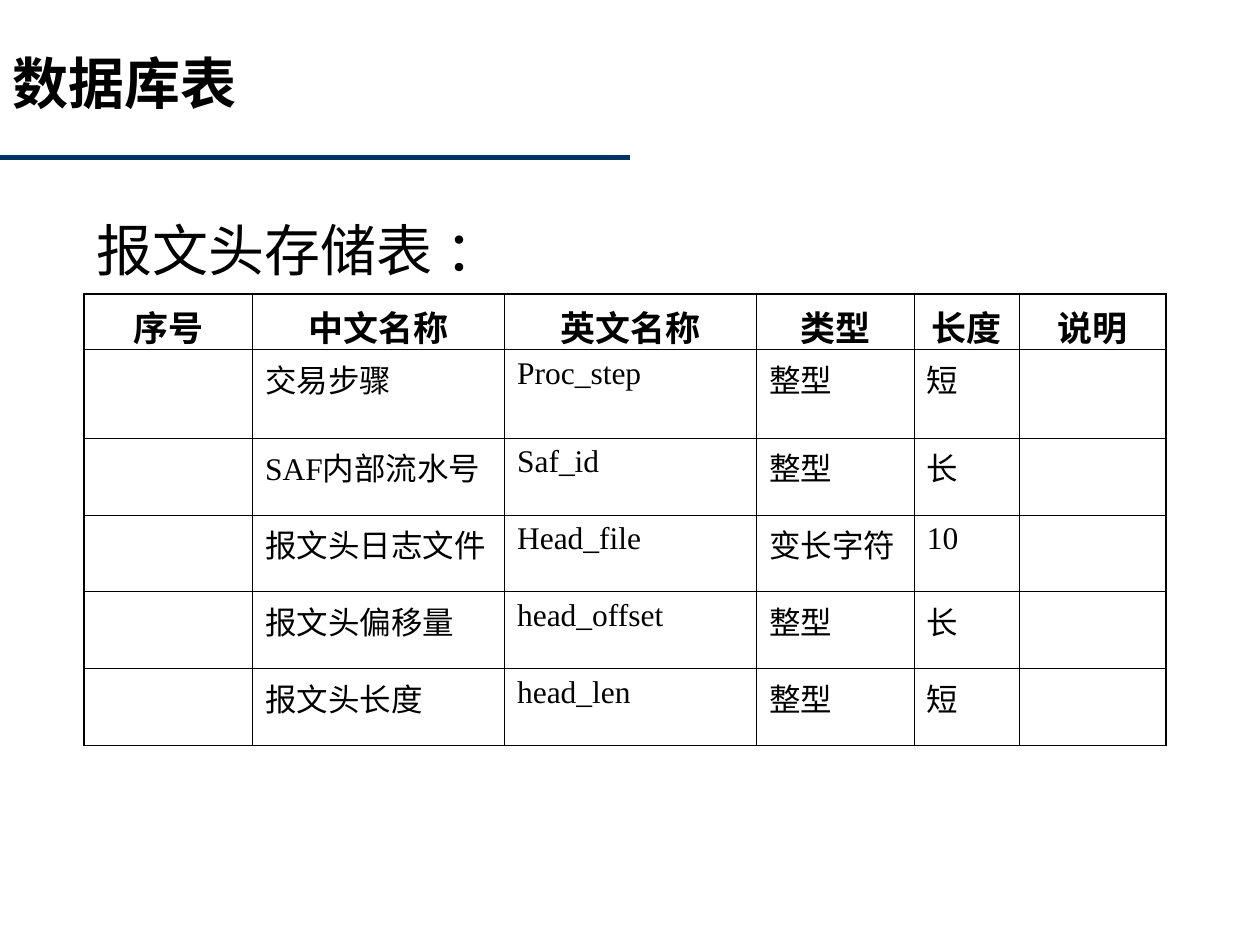
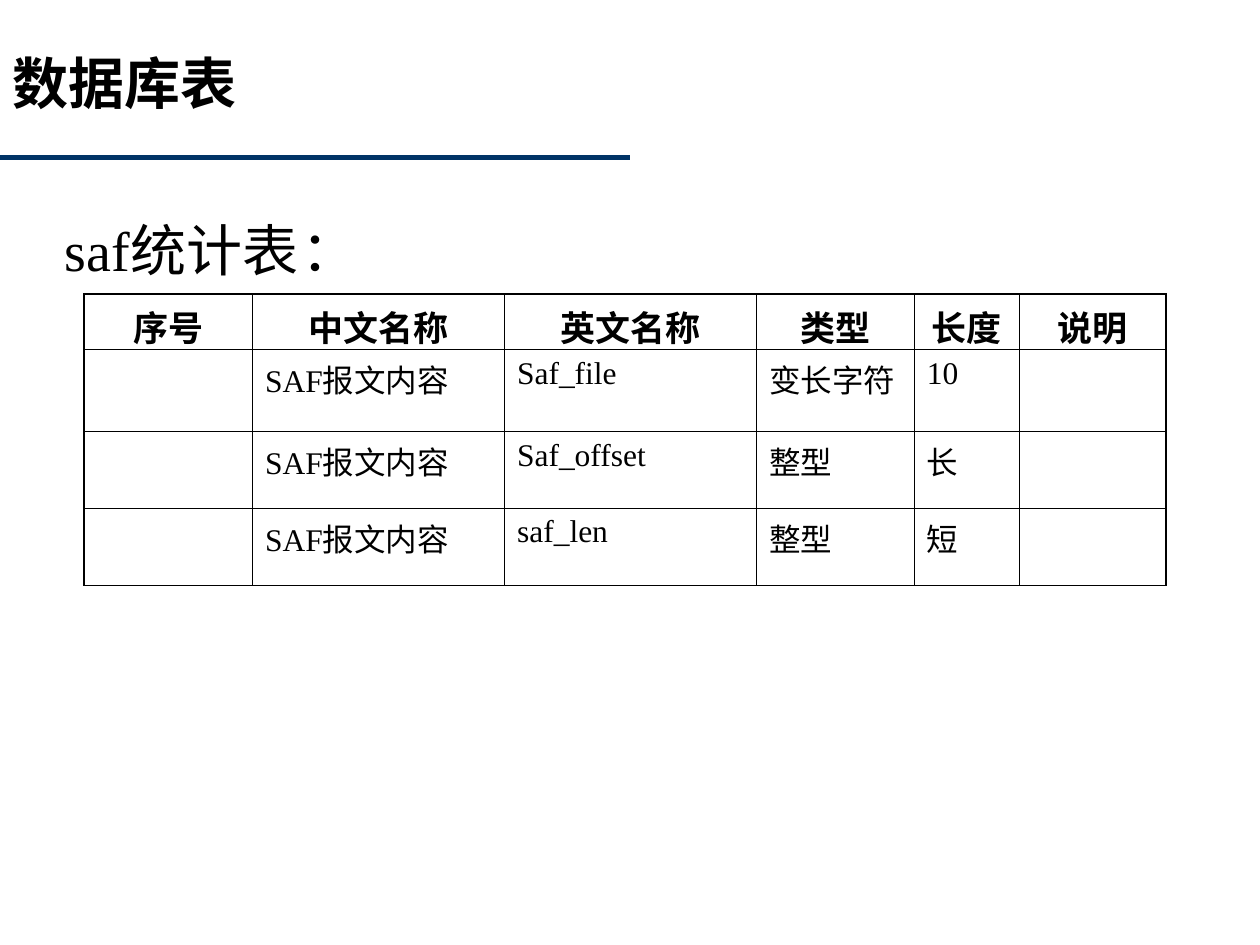
"""Two slides of database tables for stored messages."""
from lxml import etree
from pptx import Presentation
from pptx.dml.color import RGBColor
from pptx.enum.shapes import MSO_CONNECTOR
from pptx.enum.text import MSO_ANCHOR, MSO_AUTO_SIZE, PP_ALIGN
from pptx.oxml.ns import qn
from pptx.util import Cm, Pt

LINE = MSO_CONNECTOR.STRAIGHT
TOP = MSO_ANCHOR.TOP
FIXED = MSO_AUTO_SIZE.NONE
LEFT, MID, FULL = PP_ALIGN.LEFT, PP_ALIGN.CENTER, PP_ALIGN.JUSTIFY

HUES = {"text": "000000", "rule": "003366"}
SANS, SERIF = "Noto Sans CJK SC", "Times New Roman"
WIDE, THIN = Pt(1.08), Pt(0.45)
COLS = [3.39, 5.08, 5.08, 3.18, 2.11, 2.96]
HEAD = ["序号", "中文名称", "英文名称", "类型", "长度", "说明"]
PAGES = [
    {
        "label": "报文头存储表 ：", "left": 1.7, "first": 1.78,
        "rows": [
            ["", "交易步骤", "Proc_step", "整型", "短", ""],
            ["", "SAF内部流水号", "Saf_id", "整型", "长", ""],
            ["", "报文头日志文件", "Head_file", "变长字符", "10", ""],
            ["", "报文头偏移量", "head_offset", "整型", "长", ""],
            ["", "报文头长度", "head_len", "整型", "短", ""],
        ],
    },
    {
        "label": "saf统计表\t：", "left": 1.06, "first": 1.65,
        "rows": [
            ["", "SAF报文内容", "Saf_file", "变长字符", "10", ""],
            ["", "SAF报文内容", "Saf_offset", "整型", "长", ""],
            ["", "SAF报文内容", "saf_len", "整型", "短", ""],
        ],
    },
]


def write(frame, text, size, font=SERIF, bold=False, align=LEFT):
    frame.text = text
    para = frame.paragraphs[0]
    para.alignment = align
    for run in para.runs:
        run.font.size = Pt(size)
        run.font.bold = bold
        run.font.name = font
        run.font.color.rgb = RGBColor.from_string(HUES["text"])
        asian = etree.SubElement(run.font._element, qn("a:ea"))
        asian.set("typeface", SANS)
    return para


def edge(cell, side, width):
    line = etree.SubElement(cell._tc.get_or_add_tcPr(), qn("a:ln" + side))
    line.set("w", str(int(width)))
    fill = etree.SubElement(line, qn("a:solidFill"))
    etree.SubElement(fill, qn("a:srgbClr")).set("val", HUES["text"])


deck = Presentation()
deck.slide_width, deck.slide_height = Cm(25.4), Cm(19.05)

for page in PAGES:
    slide = deck.slides.add_slide(deck.slide_layouts[5])
    shapes = slide.shapes

    rule = shapes.add_connector(LINE, 0, Cm(3.18), Cm(12.7), Cm(3.18))
    rule.line.color.rgb = RGBColor.from_string(HUES["rule"])
    rule.line.width = Pt(3)
    etree.SubElement(rule._element.spPr, qn("a:effectLst"))

    title = shapes.title
    title.left, title.top = 0, Cm(0.85)
    title.width, title.height = Cm(19.25), Cm(3.18)
    frame = title.text_frame
    frame.vertical_anchor = TOP
    frame.auto_size = FIXED
    write(frame, "数据库表", 32, SANS, True)

    label = shapes.add_textbox(Cm(page["left"]), Cm(4.23), Cm(22.65), Cm(1.7))
    frame = label.text_frame
    frame.word_wrap = True
    para = write(frame, page["label"], 32, align=FULL)
    props = para._p.get_or_add_pPr()
    props.set("marL", str(Cm(0.95)))
    props.set("indent", str(-Cm(0.95)))
    tabs = etree.SubElement(props, qn("a:tabLst"))
    stop = etree.SubElement(tabs, qn("a:tab"))
    stop.set("pos", str(Cm(5.08)))
    stop.set("algn", "l")

    rows = [HEAD] + page["rows"]
    highs = [1.12, page["first"]] + [1.55] * (len(rows) - 2)
    grid = shapes.add_table(len(rows), len(COLS), Cm(1.7), Cm(5.93),
                            Cm(sum(COLS)), Cm(sum(highs))).table
    grid.first_row = grid.horz_banding = False
    for col, width in zip(grid.columns, COLS):
        col.width = Cm(width)
    for row, high in zip(grid.rows, highs):
        row.height = Cm(high)

    for r, row in enumerate(rows):
        for c, text in enumerate(row):
            cell = grid.cell(r, c)
            if r == 0:
                write(cell.text_frame, text, 20, bold=True, align=MID)
            else:
                write(cell.text_frame, text, 18)
            outer = {"L": c == 0, "R": c == len(COLS) - 1,
                     "T": r == 0, "B": r == len(rows) - 1}
            for side, rim in outer.items():
                edge(cell, side, WIDE if rim else THIN)
            cell.fill.background()

deck.save("out.pptx")
